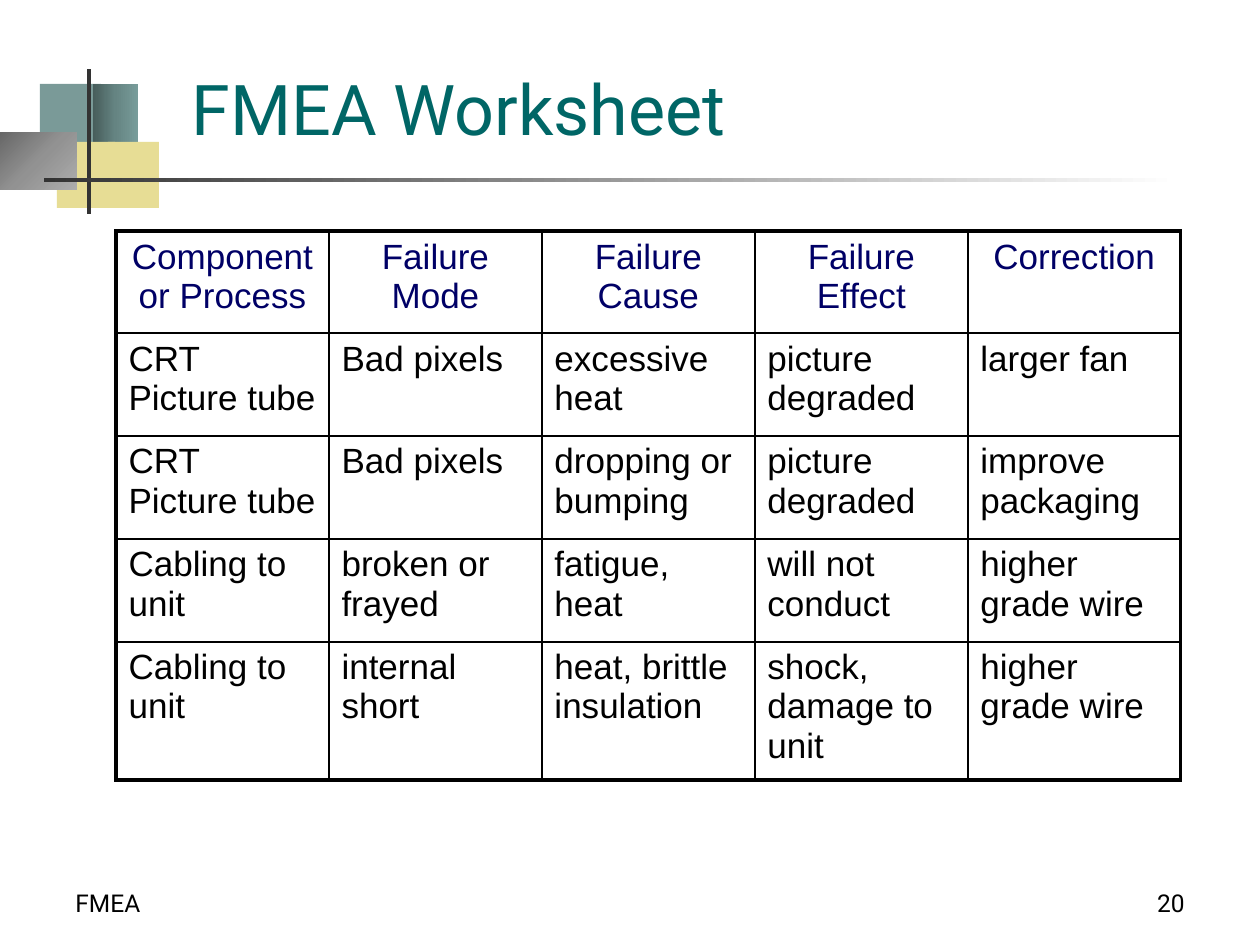
"""Build the FMEA worksheet slide."""
from lxml import etree
from pptx import Presentation
from pptx.dml.color import RGBColor
from pptx.enum.shapes import MSO_SHAPE
from pptx.enum.text import MSO_ANCHOR, PP_ALIGN
from pptx.oxml.ns import nsdecls, qn
from pptx.util import Emu, Pt

RECT = MSO_SHAPE.RECTANGLE
BOTTOM = MSO_ANCHOR.BOTTOM
LEFT, CENTER, RIGHT = PP_ALIGN.LEFT, PP_ALIGN.CENTER, PP_ALIGN.RIGHT
SCALE = 914400 // 126

TITLE = "FMEA Worksheet"
ROWS = [
    ("Component or Process", "Failure Mode", "Failure Cause",
     "Failure Effect", "Correction"),
    ("CRT Picture tube", "Bad pixels", "excessive heat",
     "picture degraded", "larger fan"),
    ("CRT Picture tube", "Bad pixels", "dropping or bumping",
     "picture degraded", "improve packaging"),
    ("Cabling to unit", "broken or frayed", "fatigue, heat",
     "will not conduct", "higher grade wire"),
    ("Cabling to unit", "internal short", "heat, brittle insulation",
     "shock, damage to unit", "higher grade wire"),
]
COL = 213
HEIGHTS = (102, 103, 103, 103, 138)
LINEAR = '<a:lin ang="0" scaled="1"/>'
RADIAL = ('<a:path path="circle"><a:fillToRect r="100000" b="100000"/>'
          '</a:path>')
DECOR = [
    ((40, 84, 61, 66), ["7A9A98"], None),
    ((93, 84, 45, 66), ["475D5B", "658482", "789C9A"], LINEAR),
    ((57, 142, 58, 66), ["E7DD95"], None),
    ((108, 142, 51, 66), ["E7DD95"], None),
    ((0, 132, 77, 58), ["676767", "929292", "ADADAD"], RADIAL),
    ((87, 69, 4, 145), ["333333"], None),
    ((44, 178, 1134, 4), ["333333", "FFFFFF"], LINEAR),
]
FOOTER = [((63, 861, 294, 63), "FMEA", LEFT),
          ((903, 861, 294, 63), "20", RIGHT)]


def px(num):
    return Emu(num * SCALE)


def rgb(code):
    return RGBColor.from_string(code)


def style(para, size, face, color, align):
    para.alignment = align
    para.font.size = Pt(size)
    para.font.name = face
    para.font.color.rgb = rgb(color)


def shade(shape, colors, kind):
    shape.fill.background()
    props = shape.element.spPr
    step = 100000 // (len(colors) - 1)
    stops = "".join(f'<a:gs pos="{i * step}"><a:srgbClr val="{code}"/></a:gs>'
                    for i, code in enumerate(colors))
    grad = etree.fromstring(f'<a:gradFill {nsdecls("a")} rotWithShape="1">'
                            f'<a:gsLst>{stops}</a:gsLst>{kind}</a:gradFill>')
    props.replace(props.find(qn("a:noFill")), grad)


def block(shapes, box, colors, kind):
    shape = shapes.add_shape(RECT, *map(px, box))
    shape.shadow.inherit = False
    shape.line.fill.background()
    if kind:
        shade(shape, colors, kind)
    else:
        shape.fill.solid()
        shape.fill.fore_color.rgb = rgb(colors[0])


def edge(cell, outer):
    """Draw thick lines on outer sides and thin lines on the others."""
    props = cell._tc.get_or_add_tcPr()
    for i, (side, thick) in enumerate(zip("LRTB", outer)):
        width = Pt(2.25 if thick else 1)
        props.insert(i, etree.fromstring(
            f'<a:ln{side} {nsdecls("a")} w="{width}"><a:solidFill>'
            f'<a:srgbClr val="000000"/></a:solidFill></a:ln{side}>'))


def grid(shapes):
    last, end = len(ROWS) - 1, len(ROWS[0]) - 1
    frame = shapes.add_table(last + 1, end + 1, px(116), px(231),
                             px(COL * (end + 1)), px(sum(HEIGHTS)))
    table = frame.table
    table.first_row = table.horz_banding = False
    for col in table.columns:
        col.width = px(COL)
    for r, (row, high) in enumerate(zip(ROWS, HEIGHTS)):
        table.rows[r].height = px(high)
        for c, text in enumerate(row):
            cell = table.cell(r, c)
            cell.text = text
            cell.fill.background()
            edge(cell, (c == 0, c == end, r == 0, r == last))
            style(cell.text_frame.paragraphs[0], 20, "Arial",
                  "000000" if r else "000066", LEFT if r else CENTER)


def label(shape, text, size, color, align):
    frame = shape.text_frame
    frame.word_wrap = True
    frame.vertical_anchor = BOTTOM
    frame.text = text
    style(frame.paragraphs[0], size, "Roboto", color, align)


def main():
    deck = Presentation()
    deck.slide_width, deck.slide_height = px(1260), px(945)
    slide = deck.slides.add_slide(deck.slide_layouts[5])
    shapes = slide.shapes
    title = shapes.title
    title.left, title.top, title.width, title.height = map(
        px, (179, 42, 1018, 114))
    label(title, TITLE, 40, "006666", LEFT)
    for box, colors, kind in DECOR:
        block(shapes, box, colors, kind)
    grid(shapes)
    for box, text, align in FOOTER:
        label(shapes.add_textbox(*map(px, box)), text, 14, "000000", align)
    deck.save("out.pptx")


main()
